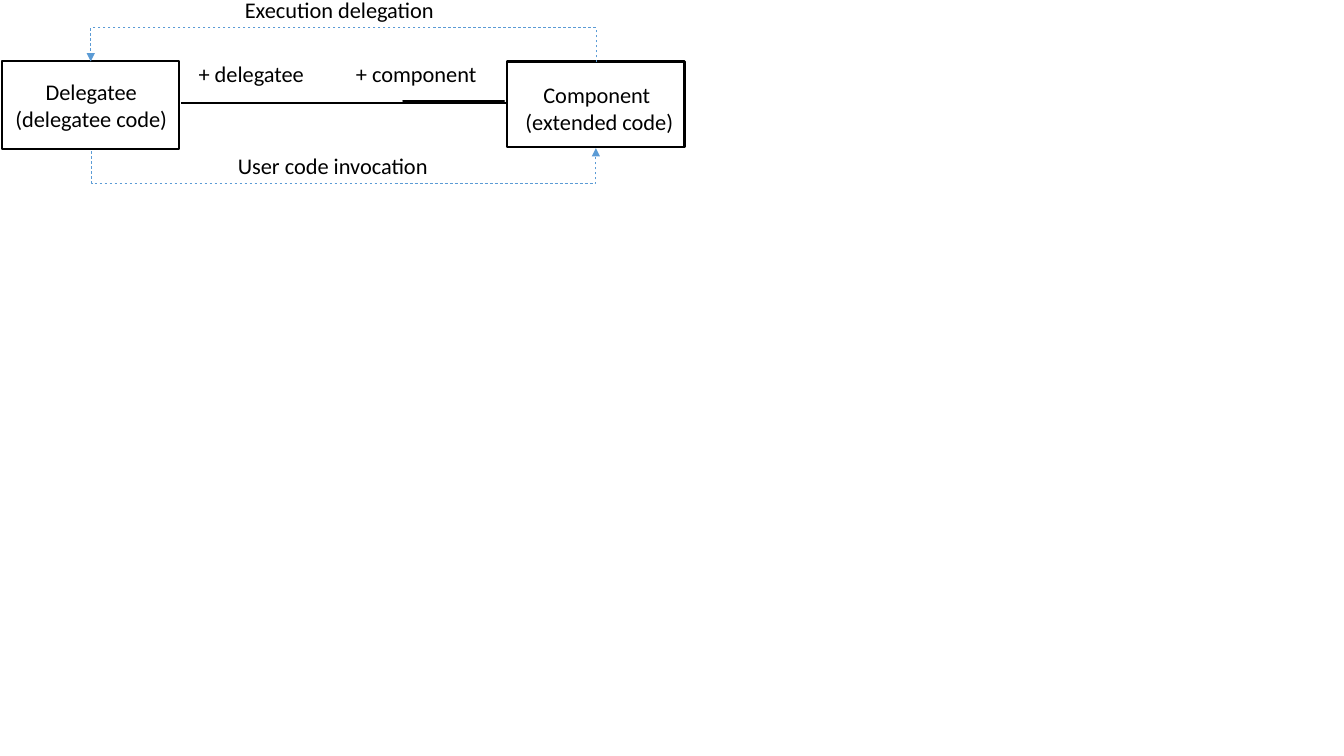
import pptx
import pptx.dml.color
import pptx.enum.dml
import pptx.enum.shapes
import pptx.enum.text
import pptx.util
from lxml import etree
from pptx.oxml.ns import qn
from pptx.util import Inches

BLACK, WHITE, BLUE = "000000", "FFFFFF", "5B9BD5"
OUTLINE_WIDTH = 1.5
AXIS_Y = 1.02


def color(hex_string):
    return pptx.dml.color.RGBColor.from_string(hex_string)


class Diagram:
    """Style and current slide of the diagram."""

    font_name, font_size = "Calibri", 16

    def __init__(self, slide):
        self.shapes = slide.shapes

    def outline(self, shape, line_color=BLACK, width=OUTLINE_WIDTH):
        shape.line.color.rgb = color(line_color)
        shape.line.width = pptx.util.Pt(width)

    def fill(self, shape, fill_color):
        shape.shadow.inherit = False
        shape.fill.solid()
        shape.fill.fore_color.rgb = color(fill_color)
        self.outline(shape)

    def box(self, left, top, width, height):
        shape = self.shapes.add_shape(
            pptx.enum.shapes.MSO_SHAPE.RECTANGLE,
            Inches(left), Inches(top), Inches(width), Inches(height))
        self.fill(shape, WHITE)

    def text(self, text, left, top, width, height, centered=False, inset=True):
        shape = self.shapes.add_textbox(
            Inches(left), Inches(top), Inches(width), Inches(height))
        frame = shape.text_frame
        frame.word_wrap = False
        frame.auto_size = pptx.enum.text.MSO_AUTO_SIZE.SHAPE_TO_FIT_TEXT
        if not inset:
            frame.margin_left = frame.margin_right = 0
            frame.margin_top = frame.margin_bottom = 0
        frame.text = text
        paragraph = frame.paragraphs[0]
        if centered:
            paragraph.alignment = pptx.enum.text.PP_ALIGN.CENTER
        paragraph.font.name = self.font_name
        paragraph.font.size = pptx.util.Pt(self.font_size)
        paragraph.font.color.rgb = color(BLACK)

    def marker(self, points):
        builder = self.shapes.build_freeform(*points[0], scale=Inches(1))
        builder.add_line_segments(points[1:], close=True)
        self.fill(builder.convert_to_shape(), BLACK)

    def connector(self, kind, left, top, right, bottom):
        connector = self.shapes.add_connector(
            kind, Inches(left), Inches(top), Inches(right), Inches(bottom))
        self.outline(connector)
        etree.SubElement(connector._element.spPr, qn("a:effectLst"))
        return connector

    def line(self, start, end):
        self.connector(pptx.enum.shapes.MSO_CONNECTOR.STRAIGHT, *start, *end)

    def dashed_arrow(self, start, end, rail_y):
        """Elbow from start to the slightly higher end, running along rail_y."""
        (start_x, start_y), (end_x, end_y) = start, end
        width, height = start_y - end_y, abs(end_x - start_x)
        left = (start_x + end_x - width) / 2
        top = (start_y + end_y - height) / 2
        connector = self.connector(pptx.enum.shapes.MSO_CONNECTOR.ELBOW,
                                   left, top, left + width, top + height)
        self.outline(connector, BLUE, 0.5)
        connector.line.dash_style = pptx.enum.dml.MSO_LINE.DASH
        etree.SubElement(connector.line._get_or_add_ln(), qn("a:tailEnd"), type="triangle")

        properties = connector._element.spPr
        transform = properties.find(qn("a:xfrm"))
        leftward = end_x < start_x
        transform.set("rot", str((270 if leftward else 90) * 60000))
        transform.set("flipV", "1")
        if not leftward:
            transform.set("flipH", "1")
        bend = round((start_y - rail_y) / width * 100000)
        guides = properties.find(qn("a:prstGeom")).get_or_add_avLst()
        etree.SubElement(guides, qn("a:gd"), name="adj1", fmla=f"val {bend}")


def main():
    presentation = pptx.Presentation()
    presentation.slide_width = Inches(13.33)
    presentation.slide_height = Inches(7.5)
    diagram = Diagram(presentation.slides.add_slide(presentation.slide_layouts[6]))

    diagram.box(5.03, 0.61, 1.76, 0.85)
    diagram.text("Component \v(extended code)", 5.21, 0.81, 1.47, 0.54,
                 centered=True, inset=False)
    diagram.box(0.02, 0.61, 1.76, 0.87)
    diagram.text("Delegatee\v(delegatee code)", 0.15, 0.78, 1.51, 0.54,
                 centered=True, inset=False)

    diagram.line((5.03, AXIS_Y), (1.8, AXIS_Y))
    diagram.text(" + component", 3.48, 0.6, 1.25, 0.27, inset=False)
    diagram.text(" + delegatee", 1.92, 0.6, 1.1, 0.27, inset=False)

    component_end = [
        (5.03, 1.04), (4.99, 1.06), (4.96, 1.06), (4.92, 1.04), (4.92, AXIS_Y),
        (4.76, 1.11), (4.6, AXIS_Y), (4.32, 1.13), (4.6, AXIS_Y), (4.32, 0.92),
        (4.6, AXIS_Y), (4.76, 0.95), (4.92, AXIS_Y), (4.92, 1.01), (4.96, 0.99),
        (4.99, 0.99), (5.03, 1.01)]
    delegatee_end = [
        (1.8, 1.01), (1.83, 0.97), (1.87, 0.97), (1.9, 1.01), (1.9, AXIS_Y),
        (2.11, 0.92), (1.9, AXIS_Y), (2.11, 1.13), (1.9, AXIS_Y), (1.9, 1.04),
        (1.87, 1.08), (1.83, 1.08), (1.8, 1.04)]
    for points in (component_end, delegatee_end):
        diagram.marker(points)

    diagram.dashed_arrow((5.91, 0.62), (0.9, 0.61), rail_y=0.27)
    diagram.dashed_arrow((0.91, 1.5), (5.91, 1.47), rail_y=1.82)
    diagram.text("Execution delegation", 2.33, -0.09, 2.08, 0.37)
    diagram.text("User code invocation", 2.26, 1.46, 2.09, 0.37)

    presentation.save("out.pptx")


if __name__ == "__main__":
    main()
